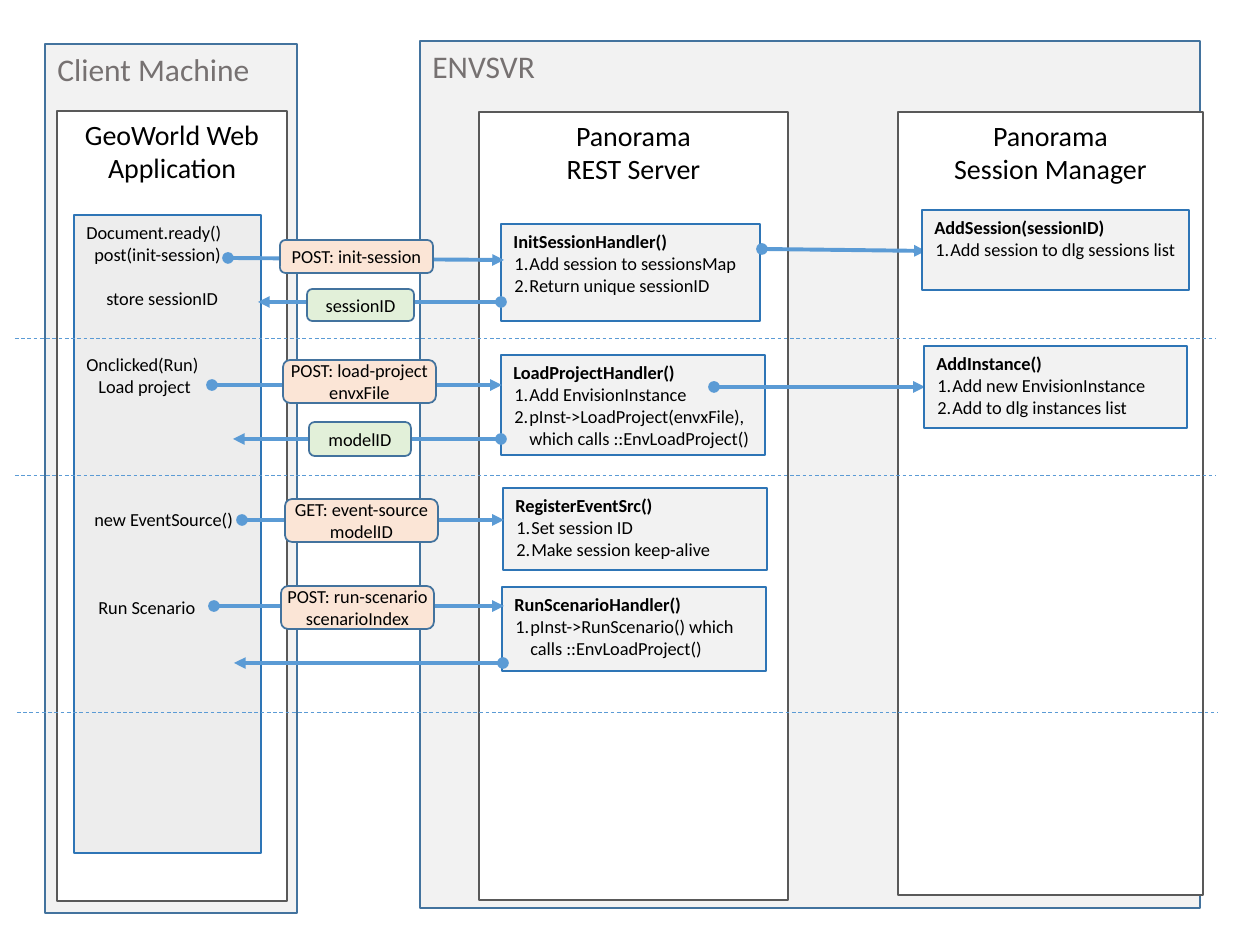
from dataclasses import dataclass
from typing import NamedTuple

from lxml import etree
from pptx import Presentation
from pptx.dml.color import RGBColor
from pptx.enum.dml import MSO_LINE
from pptx.enum.shapes import MSO_CONNECTOR, MSO_SHAPE
from pptx.enum.text import MSO_ANCHOR, PP_ALIGN
from pptx.oxml.ns import qn
from pptx.util import Emu, Pt

RECTANGLE = MSO_SHAPE.RECTANGLE
ROUNDED = MSO_SHAPE.ROUNDED_RECTANGLE
STRAIGHT = MSO_CONNECTOR.STRAIGHT
ELBOW = MSO_CONNECTOR.ELBOW
DASH = MSO_LINE.DASH
TOP, MIDDLE = MSO_ANCHOR.TOP, MSO_ANCHOR.MIDDLE
LEFT, CENTER = PP_ALIGN.LEFT, PP_ALIGN.CENTER
EMU_PER_PIXEL = 914400 / 126


@dataclass(frozen=True)
class Theme:
    font: str = "Calibri"
    machine_size: float = 18
    title_size: float = 16
    body_size: float = 10.5
    body_line: float = 12.6
    text: str = "000000"
    machine_text: str = "767171"
    panel: str = "F2F2F2"
    white: str = "FFFFFF"
    script: str = "EDEDED"
    request: str = "FBE5D6"
    response: str = "E2F0D9"
    frame: str = "43739E"
    component_line: str = "595959"
    handler_line: str = "2E75B6"
    arrow: str = "5B9BD5"


class Box(NamedTuple):
    left: int
    top: int
    width: int
    height: int


class Line(NamedTuple):
    text: str
    indent: int = 0
    skipped_lines: int = 0
    bold: bool = False
    numbered: bool = False


class Panel(NamedTuple):
    box: Box
    lines: tuple[str, ...]


class Handler(NamedTuple):
    box: Box
    name: str
    steps: tuple[str, ...]


class Message(NamedTuple):
    box: Box
    lines: tuple[str, ...]
    fill: str


class Arrow(NamedTuple):
    start_x: int
    start_y: int
    end_x: int
    end_y: int
    kind: MSO_CONNECTOR = STRAIGHT


THEME = Theme()
MACHINES = (
    Panel(Box(45, 44, 252, 869), ("Client Machine",)),
    Panel(Box(420, 41, 780, 867), ("ENVSVR",)),
)
COMPONENTS = (
    Panel(Box(57, 111, 230, 790), ("GeoWorld Web", "Application")),
    Panel(Box(898, 112, 305, 783), ("Panorama", "Session Manager")),
    Panel(Box(479, 112, 309, 788), ("Panorama", "REST Server")),
)
CLIENT_BOX = Box(74, 215, 187, 638)
CLIENT_LINES = [
    Line("Document.ready()"),
    Line("post(init-session)", 8),
    Line("store sessionID", 20, 1),
    Line("Onclicked(Run)", 0, 2),
    Line("Load project", 12),
    Line("new EventSource()", 8, 5),
    Line("Run Scenario", 12, 3),
]
SERVER_HANDLERS = (
    Handler(Box(501, 224, 259, 97), "InitSessionHandler()",
            ("Add session to sessionsMap", "Return unique sessionID")),
    Handler(Box(501, 355, 264, 100), "LoadProjectHandler()",
            ("Add EnvisionInstance",
             "pInst->LoadProject(envxFile), which calls ::EnvLoadProject()")),
    Handler(Box(503, 488, 264, 82), "RegisterEventSrc()",
            ("Set session ID", "Make session keep-alive")),
    Handler(Box(502, 587, 264, 84), "RunScenarioHandler()",
            ("pInst->RunScenario() which calls ::EnvLoadProject()",)),
)
MANAGER_HANDLERS = (
    Handler(Box(922, 210, 267, 80), "AddSession(sessionID)",
            ("Add session to dlg sessions list",)),
    Handler(Box(924, 346, 263, 82), "AddInstance()",
            ("Add new EnvisionInstance", "Add to dlg instances list")),
)
ARROWS = (
    Arrow(762, 249, 926, 251),
    Arrow(501, 302, 258, 302),
    Arrow(228, 258, 504, 260),
    Arrow(212, 385, 502, 385),
    Arrow(714, 387, 925, 387, ELBOW),
    Arrow(501, 439, 233, 439),
    Arrow(214, 606, 504, 606),
    Arrow(503, 663, 234, 663),
    Arrow(242, 520, 504, 520),
)
DIVIDERS = (
    Arrow(15, 338, 1216, 338),
    Arrow(15, 475, 1216, 475),
    Arrow(17, 712, 1218, 712),
)
MESSAGES = (
    Message(Box(280, 240, 153, 33), ("POST: init-session",), THEME.request),
    Message(Box(307, 289, 107, 32), ("sessionID",), THEME.response),
    Message(Box(283, 360, 153, 43), ("POST: load-project", "envxFile"), THEME.request),
    Message(Box(309, 422, 102, 34), ("modelID",), THEME.response),
    Message(Box(281, 586, 153, 43), ("POST: run-scenario", "scenarioIndex"), THEME.request),
    Message(Box(285, 499, 153, 43), ("GET: event-source", "modelID"), THEME.request),
)


def px(pixels: int) -> Emu:
    return Emu(round(pixels * EMU_PER_PIXEL))


def draw_shape(slide, kind, box: Box, fill: str, outline: str, width: float):
    shape = slide.shapes.add_shape(kind, *(px(length) for length in box))
    shape.shadow.inherit = False
    shape.fill.solid()
    shape.fill.fore_color.rgb = RGBColor.from_string(fill)
    shape.line.color.rgb = RGBColor.from_string(outline)
    shape.line.width = Pt(width)
    return shape


def write_lines(shape, lines: list[Line], size: float, alignment=LEFT,
                color: str = THEME.text, anchor=TOP) -> None:
    frame = shape.text_frame
    frame.word_wrap = True
    frame.vertical_anchor = anchor
    for index, line in enumerate(lines):
        paragraph = frame.add_paragraph() if index else frame.paragraphs[0]
        paragraph.alignment = alignment
        paragraph.space_before = Pt(line.skipped_lines * THEME.body_line)
        properties = paragraph._p.get_or_add_pPr()
        properties.set("marL", str(px(line.indent)))
        if line.numbered:
            properties.set("indent", str(px(-15)))
            etree.SubElement(properties, qn("a:buFont"), typeface="+mj-lt")
            etree.SubElement(properties, qn("a:buAutoNum"), type="arabicPeriod")
        run = paragraph.add_run()
        run.text = line.text
        run.font.name = THEME.font
        run.font.size = Pt(size)
        run.font.bold = line.bold
        run.font.color.rgb = RGBColor.from_string(color)


def draw_handler(slide, handler: Handler) -> None:
    shape = draw_shape(slide, RECTANGLE, handler.box, THEME.panel, THEME.handler_line, 0.75)
    steps = [Line(step, 16, numbered=True) for step in handler.steps]
    write_lines(shape, [Line(handler.name, bold=True), *steps], THEME.body_size)


def draw_message(slide, message: Message) -> None:
    shape = draw_shape(slide, ROUNDED, message.box, message.fill, THEME.frame, 1)
    shape.text_frame.margin_left = shape.text_frame.margin_right = 0
    write_lines(shape, [Line(text) for text in message.lines], THEME.body_size,
                CENTER, anchor=MIDDLE)


def draw_line(slide, arrow: Arrow, width: float):
    connector = slide.shapes.add_connector(arrow.kind, *(px(length) for length in arrow[:4]))
    connector.line.color.rgb = RGBColor.from_string(THEME.arrow)
    connector.line.width = Pt(width)
    etree.SubElement(connector._element.spPr, qn("a:effectLst"))
    return connector


def draw_arrow(slide, arrow: Arrow) -> None:
    outline = draw_line(slide, arrow, 2.25).line._get_or_add_ln()
    etree.SubElement(outline, qn("a:headEnd"), type="oval")
    etree.SubElement(outline, qn("a:tailEnd"), type="triangle")


def main() -> None:
    presentation = Presentation()
    presentation.slide_width, presentation.slide_height = px(1260), px(945)
    slide = presentation.slides.add_slide(presentation.slide_layouts[6])
    for machine in MACHINES:
        shape = draw_shape(slide, RECTANGLE, machine.box, THEME.panel, THEME.frame, 1)
        write_lines(shape, [Line(text) for text in machine.lines],
                    THEME.machine_size, color=THEME.machine_text)
    for component in COMPONENTS:
        shape = draw_shape(slide, RECTANGLE, component.box, THEME.white,
                           THEME.component_line, 0.75)
        write_lines(shape, [Line(text) for text in component.lines], THEME.title_size, CENTER)
    client = draw_shape(slide, RECTANGLE, CLIENT_BOX, THEME.script, THEME.handler_line, 0.75)
    write_lines(client, CLIENT_LINES, THEME.body_size)
    for handler in SERVER_HANDLERS:
        draw_handler(slide, handler)
    for arrow in ARROWS:
        draw_arrow(slide, arrow)
    for handler in MANAGER_HANDLERS:
        draw_handler(slide, handler)
    for divider in DIVIDERS:
        draw_line(slide, divider, 0.5).line.dash_style = DASH
    for message in MESSAGES:
        draw_message(slide, message)
    presentation.save("out.pptx")


main()
